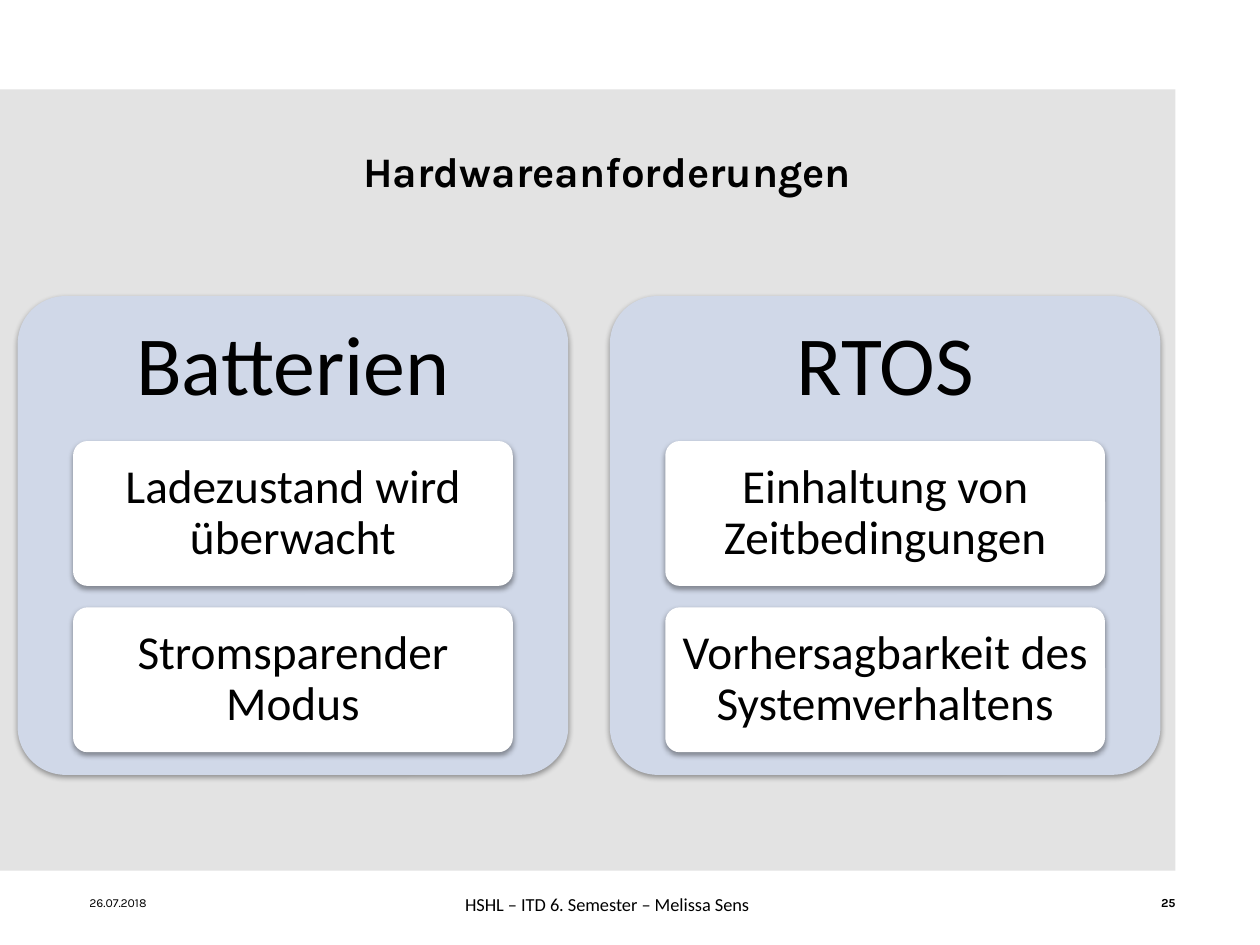
from dataclasses import dataclass

from lxml import etree
from pptx import Presentation
from pptx.dml.color import RGBColor
from pptx.enum import shapes, text
from pptx.oxml import ns
from pptx.util import Inches, Pt

CENTER = text.PP_ALIGN.CENTER


@dataclass(frozen=True)
class Theme:
    backdrop: str = "E3E3E3"
    panel: str = "D0D8E8"
    item: str = "FFFFFF"
    ink: str = "000000"
    heading_font: str = "Karla"
    body_font: str = "Calibri"
    title_size: float = 24
    panel_size: float = 48
    item_size: float = 27
    footer_size: float = 10.5
    small_size: float = 7


@dataclass(frozen=True)
class Box:
    left: float
    top: float
    width: float
    height: float

    def lengths(self):
        return [Inches(value) for value in (self.left, self.top, self.width, self.height)]


@dataclass(frozen=True)
class Panel:
    heading: str
    items: tuple[str, ...]


THEME = Theme()
PANELS = (
    Panel("Batterien", ("Ladezustand wird überwacht", "Stromsparender Modus")),
    Panel("RTOS", ("Einhaltung von Zeitbedingungen", "Vorhersagbarkeit des Systemverhaltens")),
)
PANEL_BOX = Box(0.14, 2.35, 4.37, 3.8)
PANEL_STEP = 4.7
HEADING_HEIGHT = 1.14
ITEM_BOX = Box(0.44, 1.15, 3.49, 1.15)  # relative to its panel
ITEM_STEP = 1.32


def write(shape, wording: str, size: float, font: str, align=CENTER, bold: bool = False,
          insets: tuple[float, float] = (0.1, 0.05), wrap: bool = True,
          anchor=text.MSO_ANCHOR.MIDDLE, line_spacing: float = 1.0) -> None:
    """Put one formatted paragraph in a shape; insets are horizontal and vertical."""
    frame = shape.text_frame
    frame.text = wording
    frame.word_wrap = wrap
    frame.vertical_anchor = anchor
    frame.margin_left = frame.margin_right = Inches(insets[0])
    frame.margin_top = frame.margin_bottom = Inches(insets[1])
    paragraph = frame.paragraphs[0]
    paragraph.alignment = align
    paragraph.line_spacing = line_spacing
    run_font = paragraph.runs[0].font
    run_font.name, run_font.size, run_font.bold = font, Pt(size), bold
    run_font.color.rgb = RGBColor.from_string(THEME.ink)


def add_filled(slide, kind, box: Box, color: str):
    shape = slide.shapes.add_shape(kind, *box.lengths())
    shape.shadow.inherit = False
    shape.fill.solid()
    shape.fill.fore_color.rgb = RGBColor.from_string(color)
    shape.line.fill.background()
    return shape


def add_card(slide, box: Box, color: str):
    """Add a rounded rectangle with a soft shadow below it."""
    card = add_filled(slide, shapes.MSO_SHAPE.ROUNDED_RECTANGLE, box, color)
    card.adjustments[0] = 0.1
    effects = card._element.spPr.find(ns.qn("a:effectLst"))
    shadow = etree.SubElement(effects, ns.qn("a:outerShdw"), blurRad=str(Pt(3.1)),
                              dist=str(Pt(1.6)), dir="5400000", rotWithShape="0")
    shade = etree.SubElement(shadow, ns.qn("a:srgbClr"), val=THEME.ink)
    etree.SubElement(shade, ns.qn("a:alpha"), val="38000")
    return card


def add_text(slide, box: Box, wording: str, size: float, font: str, **options):
    textbox = slide.shapes.add_textbox(*box.lengths())
    write(textbox, wording, size, font, **options)
    return textbox


def add_panel(slide, panel: Panel, left: float) -> None:
    top, width = PANEL_BOX.top, PANEL_BOX.width
    add_card(slide, Box(left, top, width, PANEL_BOX.height), THEME.panel)
    add_text(slide, Box(left, top, width, HEADING_HEIGHT), panel.heading,
             THEME.panel_size, THEME.body_font, insets=(0.2, 0.2), line_spacing=0.9)
    for row, wording in enumerate(panel.items):
        box = Box(left + ITEM_BOX.left, top + ITEM_BOX.top + row * ITEM_STEP,
                  ITEM_BOX.width, ITEM_BOX.height)
        card = add_card(slide, box, THEME.item)
        write(card, wording, THEME.item_size, THEME.body_font,
              insets=(0.1, 0.1), line_spacing=0.9)


def main() -> None:
    presentation = Presentation()
    presentation.slide_width, presentation.slide_height = Inches(10), Inches(7.5)
    slide = presentation.slides.add_slide(presentation.slide_layouts[6])

    add_filled(slide, shapes.MSO_SHAPE.RECTANGLE, Box(0, 0.71, 9.33, 6.2), THEME.backdrop)
    for column, panel in enumerate(PANELS):
        add_panel(slide, panel, PANEL_BOX.left + column * PANEL_STEP)

    add_text(slide, Box(0.71, 7.1, 2.33, 0.12), "26.07.2018", THEME.small_size,
             THEME.heading_font, align=text.PP_ALIGN.LEFT, insets=(0, 0))
    add_text(slide, Box(7, 7.1, 2.33, 0.12), "25", THEME.small_size,
             THEME.heading_font, align=text.PP_ALIGN.RIGHT, bold=True, insets=(0, 0))
    add_text(slide, Box(0.71, 0.84, 8.22, 1.03), "Hardwareanforderungen",
             THEME.title_size, THEME.heading_font, bold=True)
    footer = add_text(slide, Box(3.57, 7.04, 2.5, 0.28), "HSHL – ITD 6. Semester – Melissa Sens",
                      THEME.footer_size, THEME.body_font, wrap=False,
                      anchor=text.MSO_ANCHOR.TOP)
    footer.text_frame.auto_size = text.MSO_AUTO_SIZE.SHAPE_TO_FIT_TEXT

    presentation.save("out.pptx")


if __name__ == "__main__":
    main()
